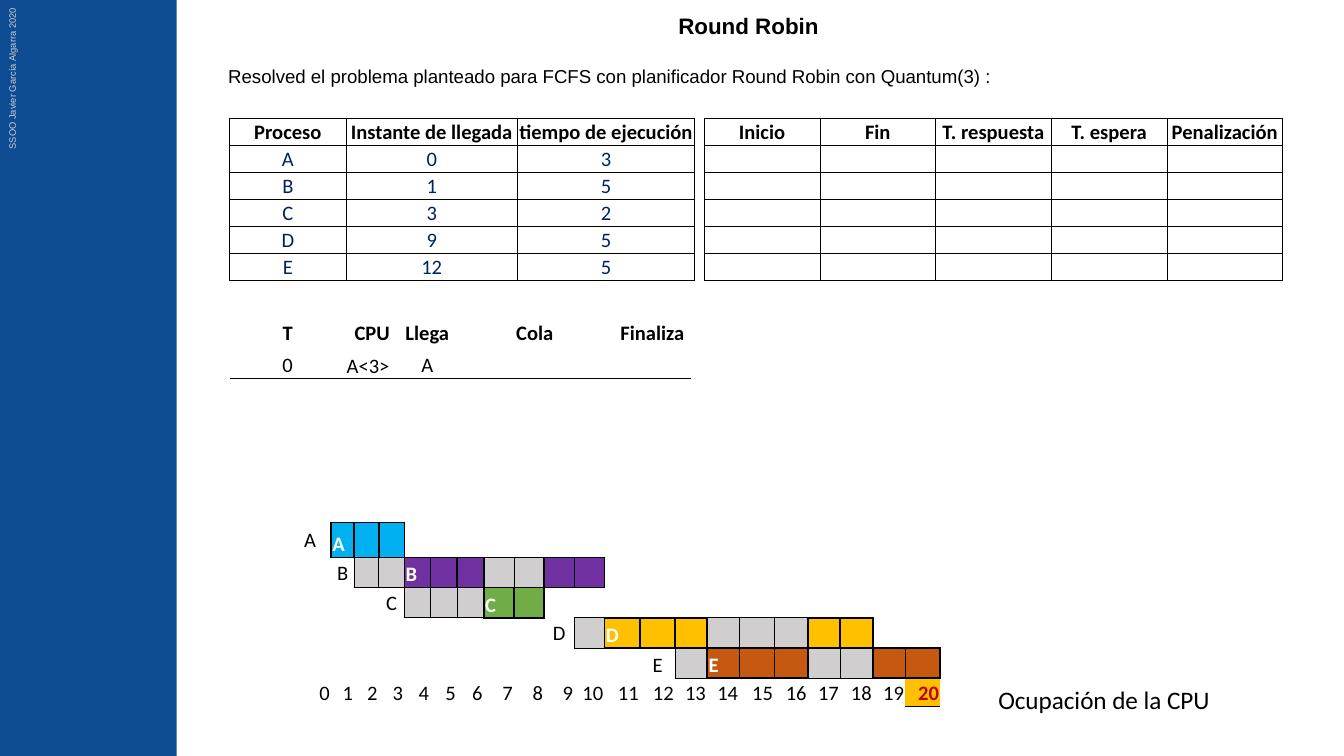
from dataclasses import dataclass
from itertools import product
from typing import Optional

from lxml import etree
from pptx import Presentation
from pptx import util as u
from pptx.dml.color import RGBColor
from pptx.enum import shapes, text
from pptx.oxml import ns

WIDE, HIGH = u.Inches(10), u.Inches(5.625)
BLACK, WHITE, NAVY, RED = "000000", "FFFFFF", "002060", "C00000"
BLUE, GREY, GOLD = "0D4B92", "D0CECE", "FFC000"
LEFT, MID, RIGHT = text.PP_ALIGN.LEFT, text.PP_ALIGN.CENTER, text.PP_ALIGN.RIGHT
BASE, HALF = text.MSO_ANCHOR.BOTTOM, text.MSO_ANCHOR.MIDDLE
THIN, THICK = 0.5, 1


@dataclass
class Box:
    x: float
    y: float
    w: float
    h: float

    def place(self) -> tuple:
        return across(self.x), down(self.y), across(self.w), down(self.h)


@dataclass
class Line:
    words: str
    size: float
    face: str = "Arial"
    tint: str = BLACK
    bold: bool = False
    align: int = LEFT
    gap: float = 0


@dataclass
class Cell:
    words: str = ""
    tint: str = BLACK
    bold: bool = False
    align: int = MID
    anchor: int = HALF
    fill: Optional[str] = None


@dataclass
class Job:
    name: str
    start: int
    slots: str
    tint: str
    anchor: int = HALF


def across(share: float) -> int:
    return round(WIDE * share / 100)


def down(share: float) -> int:
    return round(HIGH * share / 100)


def paint(target, tint: str) -> None:
    if hasattr(target, "solid"):
        target.solid()
        target = target.fore_color
    target.rgb = RGBColor.from_string(tint)


def style(para, line: Line) -> None:
    para.alignment = line.align
    if line.gap:
        para.space_before = u.Pt(line.gap)
    font = para.font
    font.size, font.name, font.bold = u.Pt(line.size), line.face, line.bold
    paint(font.color, line.tint)
    if line.words:
        para.add_run().text = line.words
    else:
        etree.SubElement(para._p, ns.qn("a:endParaRPr"), sz=str(line.size * 100))


def write(slide, box: Box, lines: list[Line], wrap: bool = True, turn: float = 0) -> None:
    shape = slide.shapes.add_textbox(*box.place())
    shape.rotation = turn
    frame = shape.text_frame
    frame.word_wrap = wrap
    for i, line in enumerate(lines):
        style(frame.add_paragraph() if i else frame.paragraphs[0], line)


def frame_of(row: int, col: int) -> list[tuple]:
    return [("v", row, col), ("v", row, col + 1), ("h", row, col), ("h", row + 1, col)]


def rule(cell, widths: list[Optional[float]]) -> None:
    props = cell._tc.get_or_add_tcPr()
    for i, (side, width) in enumerate(zip("LRTB", widths)):
        edge = etree.Element(ns.qn(f"a:ln{side}"), w=str(u.Pt(width or 0)))
        if width:
            fill = etree.SubElement(edge, ns.qn("a:solidFill"))
            etree.SubElement(fill, ns.qn("a:srgbClr"), val=BLACK)
        else:
            etree.SubElement(edge, ns.qn("a:noFill"))
        props.insert(i, edge)


def grid(slide, x: float, y: float, cols: list[float], rows: list[float],
         cells: dict[tuple, Cell], edges: dict[tuple, float]) -> None:
    box = Box(x, y, sum(cols), sum(rows))
    table = slide.shapes.add_table(len(rows), len(cols), *box.place()).table
    table.first_row = table.horz_banding = False
    for col, share in zip(table.columns, cols):
        col.width = across(share)
    for row, share in zip(table.rows, rows):
        row.height = down(share)
    for r, c in product(range(len(rows)), range(len(cols))):
        spot, data = table.cell(r, c), cells.get((r, c), Cell())
        spot.margin_left = spot.margin_right = spot.margin_top = u.Inches(0.01)
        spot.margin_bottom = 0
        spot.vertical_anchor = data.anchor
        style(spot.text_frame.paragraphs[0],
              Line(data.words, 11, "Calibri", data.tint, data.bold, data.align))
        if data.fill:
            paint(spot.fill, data.fill)
        else:
            spot.fill.background()
        rule(spot, [edges.get(key) for key in frame_of(r, c)])


def boxed(rows: int, cols: int) -> dict[tuple, float]:
    spots = product(range(rows), range(cols))
    return {key: THIN for r, c in spots for key in frame_of(r, c)}


def heads(names: list[str], anchor: int = HALF) -> dict[tuple, Cell]:
    return {(0, c): Cell(name, bold=True, anchor=anchor) for c, name in enumerate(names)}


def gantt(slide, jobs: list[Job]) -> None:
    cols = [3.13, 1.73, 1.83, 1.9, 1.94, 1.99, 1.99, 2.25, 2.25, 2.25, 2.25,
            2.64, 2.6, 2.4, 2.4, 2.6, 2.5, 2.4, 2.45, 2.4, 2.6]
    rows = [4.62] + [4] * 4 + [3.73]
    last, end = len(rows) - 1, len(cols) - 1
    cells = {(last, t): Cell(str(t), align=RIGHT, anchor=BASE) for t in range(end)}
    cells[last, end] = Cell(str(end), RED, True, RIGHT, BASE, GOLD)
    edges = {("h", last + 1, end): THICK}
    for kind, width in (("w", THIN), ("r", THICK)):
        for r, job in enumerate(jobs):
            cells[r, job.start] = Cell(job.name, anchor=job.anchor)
            first = job.slots.index("r")
            for i, slot in enumerate(job.slots):
                if slot == kind:
                    c = job.start + 1 + i
                    cells[r, c] = Cell(job.name if i == first else "", WHITE, True, LEFT,
                                       BASE, job.tint if kind == "r" else GREY)
                    edges.update({key: width for key in frame_of(r, c)})
    grid(slide, 21.5, 69.1, cols, rows, cells, edges)


def main() -> None:
    deck = Presentation()
    deck.slide_width, deck.slide_height = WIDE, HIGH
    slide = deck.slides.add_slide(deck.slide_layouts[6])

    band = slide.shapes.add_shape(shapes.MSO_SHAPE.RECTANGLE, *Box(-0.1, 0, 13.25, 100).place())
    band.shadow.inherit = False
    paint(band.fill, BLUE)
    band.line.fill.background()
    write(slide, Box(-6.6, 6.4, 15.1, 3.4),
          [Line("SSOO Javier García Algarra 2020", 5, tint=GREY)], turn=270)
    write(slide, Box(73.3, 89.6, 17.7, 5.7),
          [Line("Ocupación de la CPU", 13.5, "Calibri")], wrap=False)
    write(slide, Box(16, 0.7, 79.4, 11.9), [
        Line("Round Robin", 12, bold=True, align=MID),
        Line("Resolved el problema planteado para FCFS con planificador "
             "Round Robin con Quantum(3) :", 10, gap=14)])

    times = [("A", 0, 3), ("B", 1, 5), ("C", 3, 2), ("D", 9, 5), ("E", 12, 5)]
    tasks = heads(["Proceso", "Instante de llegada", "tiempo de ejecución"], BASE)
    tasks.update({(r, c): Cell(str(value), NAVY)
                  for r, row in enumerate(times, 1) for c, value in enumerate(row)})
    rows = [3.57] * 6
    grid(slide, 17.1, 15.65, [8.65, 12.75, 13.2], rows, tasks, boxed(6, 3))

    trace = heads(["T", "CPU", "Llega", "Cola", "Finaliza"])
    trace.update({(1, 0): Cell("0"), (1, 1): Cell("A<3>", align=LEFT, anchor=BASE),
                  (1, 2): Cell("A")})
    grid(slide, 17.1, 41.75, [8.6, 4, 4.2, 11.8, 5.7], [4.62, 3.73], trace,
         {("h", 2, c): THIN for c in range(5)})

    marks = heads(["Inicio", "Fin", "T. respuesta", "T. espera", "Penalización"])
    grid(slide, 52.4, 15.65, [8.61] * 5, rows, marks, boxed(6, 5))

    gantt(slide, [
        Job("A", 0, "rrr", "00B0F0"),
        Job("B", 1, "wwrrrwwrr", "7030A0"),
        Job("C", 3, "wwwrr", "70AD47"),
        Job("D", 9, "wrrrwwwrr", GOLD),
        Job("E", 12, "wrrrwwrr", "C65911", BASE)])
    deck.save("out.pptx")


if __name__ == "__main__":
    main()
